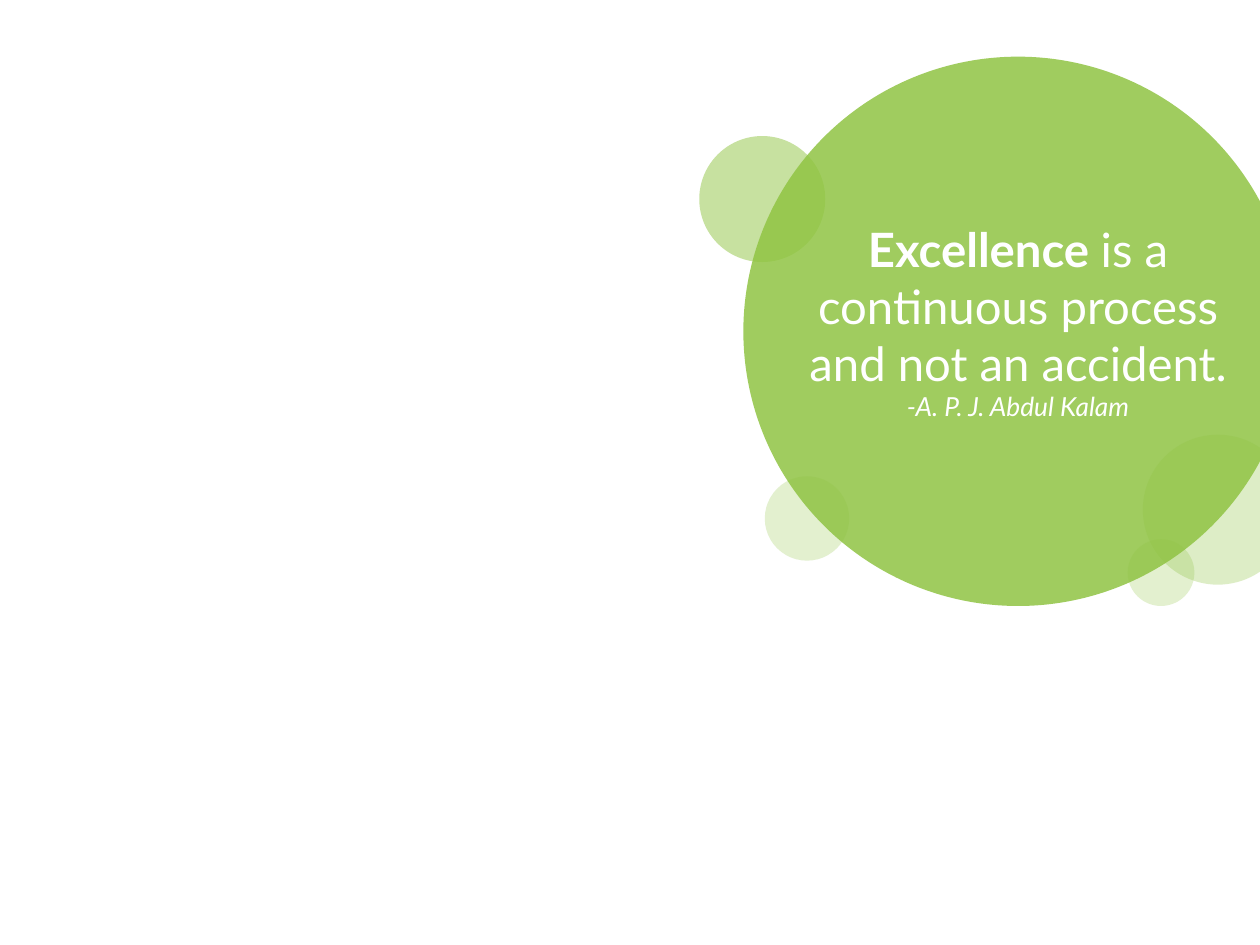
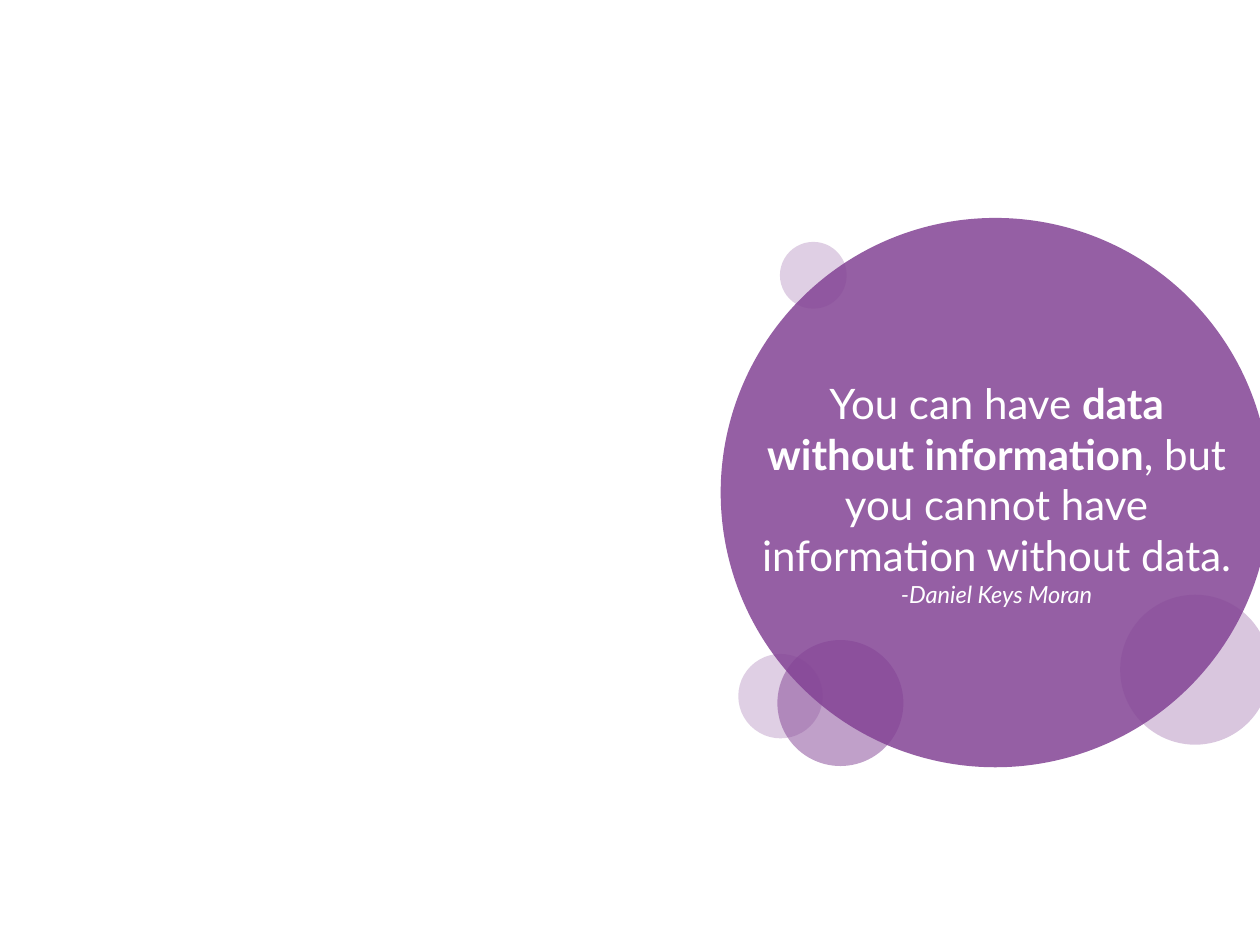
from lxml.etree import SubElement
from pptx import Presentation
from pptx.dml.color import RGBColor
from pptx.enum.shapes import MSO_SHAPE
from pptx.enum.text import MSO_AUTO_SIZE, PP_ALIGN
from pptx.oxml.ns import qn
from pptx.util import Inches, Pt

COLORS = {"green": "90C443", "purple": "834395", "white": "FFFFFF"}
FONT = "Lato"
BUBBLES = [(1, 50), (4.36, 85), (1.19, 30), (0.53, 25), (0.67, 25)]

QUOTES = [
    {
        "color": "green",
        "bubble_corners": [(5.55, 1.08), (5.9, 0.45), (9.07, 3.45), (8.95, 4.28), (6.07, 3.78)],
        "text_box": (6.2, 1.7, 3.76, 1.72),
        "quote_size": 27,
        "author_size": 15,
        "quote": [("Excellence ", True), ("is a continuous process and not an accident.", False)],
        "author": "-A. P. J. Abdul Kalam",
    },
    {
        "color": "purple",
        "bubble_corners": [(6.17, 5.08), (5.72, 1.73), (8.89, 4.72), (6.19, 1.92), (5.86, 5.19)],
        "text_box": (5.88, 2.95, 4.06, 2.35),
        "quote_size": 24,
        "author_size": 13.5,
        "quote": [
            ("You can have ", False),
            ("data without information", True),
            (", but you cannot have information without data.", False),
        ],
        "author": "-Daniel Keys Moran",
    },
]


def add_bubble(slide, left, top, diameter, color, opacity):
    bubble = slide.shapes.add_shape(
        MSO_SHAPE.OVAL, Inches(left), Inches(top), Inches(diameter), Inches(diameter)
    )
    bubble.shadow.inherit = False
    bubble.line.fill.background()
    bubble.fill.solid()
    bubble.fill.fore_color.rgb = RGBColor.from_string(COLORS[color])
    color_element = bubble.fill._xPr.find(qn("a:solidFill"))[0]
    SubElement(color_element, qn("a:alpha"), val=str(opacity * 1000))


def add_run(paragraph, text, size, bold=False, italic=False):
    run = paragraph.add_run()
    run.text = text
    run.font.name = FONT
    run.font.size = Pt(size)
    run.font.bold = bold
    run.font.italic = italic
    run.font.color.rgb = RGBColor.from_string(COLORS["white"])


presentation = Presentation()
presentation.slide_width = Inches(10)
presentation.slide_height = Inches(7.5)
blank_layout = presentation.slide_layouts[6]

for content in QUOTES:
    slide = presentation.slides.add_slide(blank_layout)
    for (left, top), (diameter, opacity) in zip(content["bubble_corners"], BUBBLES):
        add_bubble(slide, left, top, diameter, content["color"], opacity)

    text_box = slide.shapes.add_textbox(*map(Inches, content["text_box"]))
    text_frame = text_box.text_frame
    text_frame.word_wrap = True
    text_frame.auto_size = MSO_AUTO_SIZE.SHAPE_TO_FIT_TEXT

    quote_paragraph = text_frame.paragraphs[0]
    for text, bold in content["quote"]:
        add_run(quote_paragraph, text, content["quote_size"], bold=bold)
    author_paragraph = text_frame.add_paragraph()
    add_run(author_paragraph, content["author"], content["author_size"], italic=True)
    for paragraph in text_frame.paragraphs:
        paragraph.alignment = PP_ALIGN.CENTER

presentation.save("out.pptx")
